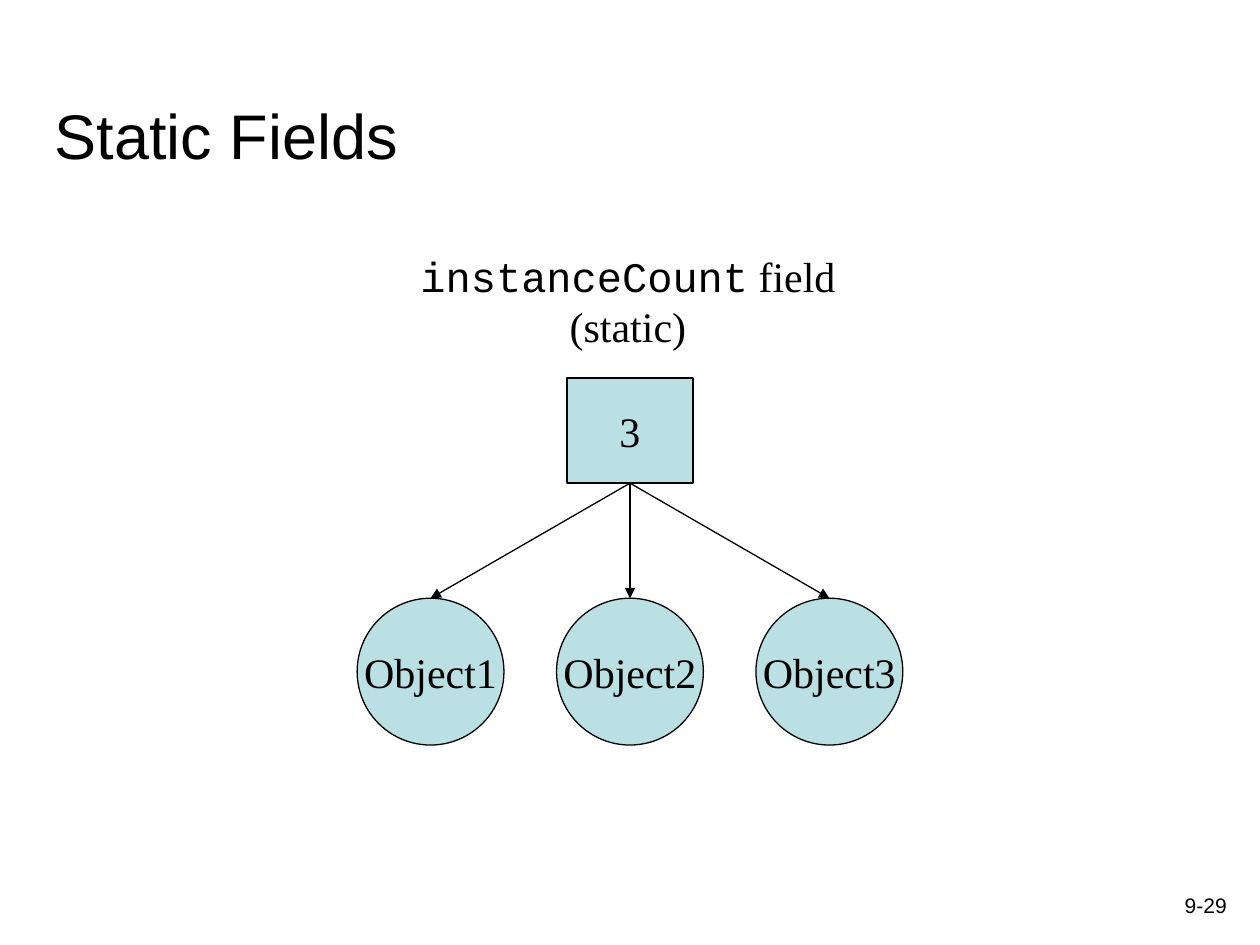
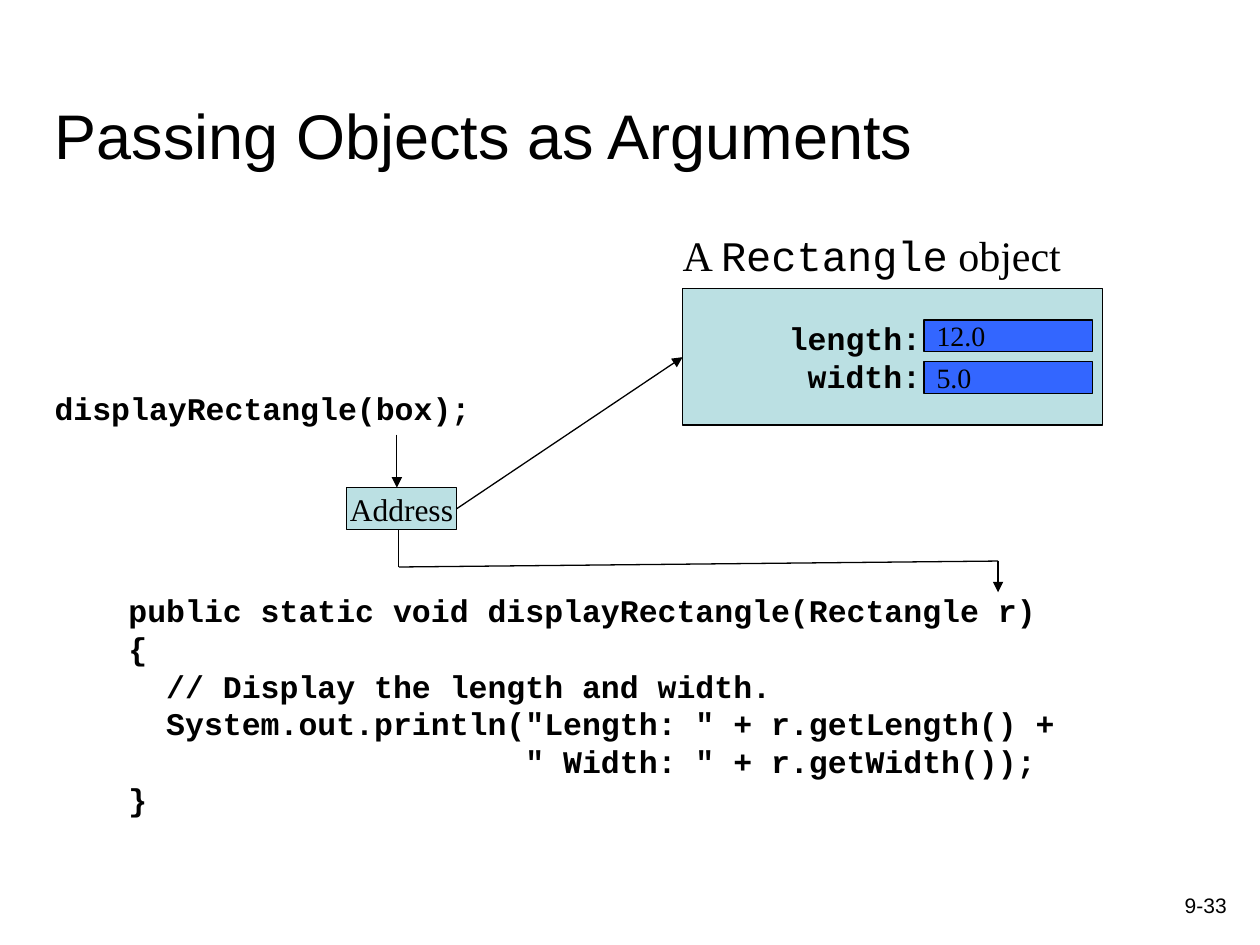
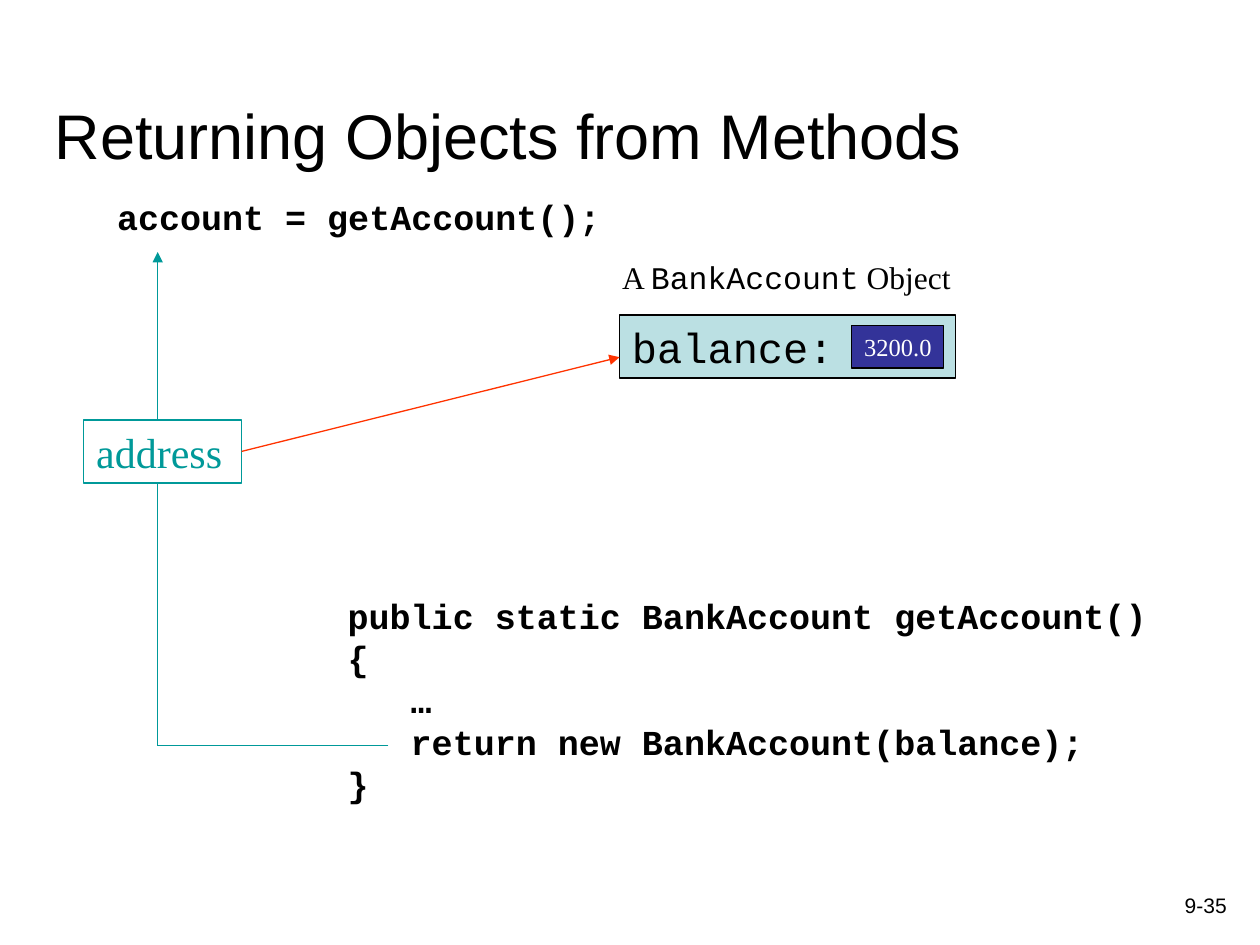
import dataclasses
import typing

import lxml.etree
import pptx
import pptx.dml.color
import pptx.enum.shapes
import pptx.enum.text
import pptx.oxml.ns
import pptx.slide
import pptx.text.text
import pptx.util

Align = pptx.enum.text.PP_ALIGN
Anchor = pptx.enum.text.MSO_ANCHOR
AutoSize = pptx.enum.text.MSO_AUTO_SIZE
Preset = pptx.enum.shapes.MSO_SHAPE

SANS = "Arial"
SERIF = "Times New Roman"
MONO = "Courier New"

BLACK = "000000"
WHITE = "FFFFFF"
PALE = "BBE0E3"
BLUE = "3366FF"
NAVY = "333399"
TEAL = "009999"
RED = "FF3300"

INSET = 0.25
LINE_WIDTH = 0.75

DISPLAY_CODE = """public static void displayRectangle(Rectangle r)
{
  // Display the length and width.
  System.out.println("Length: " + r.getLength() +
                     " Width: " + r.getWidth());
}"""

ACCOUNT_CODE = """public static BankAccount getAccount()
{
   …
   return new BankAccount(balance);
}"""


@dataclasses.dataclass(frozen=True)
class Box:
    text: str
    left: float
    top: float
    width: float
    height: float
    size: float = 24
    font: str = SERIF
    color: str = BLACK
    bold: bool = False
    align: Align = Align.LEFT
    anchor: Anchor = Anchor.TOP
    wrap: bool = False
    right_inset: float = INSET
    preset: typing.Optional[Preset] = None
    fill: typing.Optional[str] = None
    outline: str = BLACK


@dataclasses.dataclass(frozen=True)
class Line:
    start: tuple[float, float]
    end: tuple[float, float]
    color: str = BLACK
    arrow: bool = True


def rgb(color: str) -> pptx.dml.color.RGBColor:
    return pptx.dml.color.RGBColor.from_string(color)


def write_text(
    frame: pptx.text.text.TextFrame,
    text: str,
    *,
    font: str = SERIF,
    size: float = 24,
    color: str = BLACK,
    bold: bool = False,
    align: Align = Align.LEFT,
) -> None:
    for index, line in enumerate(text.split("\n")):
        para = frame.add_paragraph() if index else frame.paragraphs[0]
        para.alignment = align
        for position, part in enumerate(line.split("`")):
            if not part:
                continue
            span = para.add_run()
            span.text = part
            span.font.name = MONO if position % 2 else font
            span.font.size = pptx.util.Pt(size)
            span.font.bold = bold
            span.font.color.rgb = rgb(color)


def draw_box(page: pptx.slide.Slide, box: Box) -> None:
    place = [pptx.util.Cm(n) for n in (box.left, box.top, box.width, box.height)]
    if box.preset is None:
        shape = page.shapes.add_textbox(*place)
    else:
        shape = page.shapes.add_shape(box.preset, *place)
        shape.shadow.inherit = False
        shape.line.color.rgb = rgb(box.outline)
        shape.line.width = pptx.util.Pt(LINE_WIDTH)
        if box.fill is None:
            shape.fill.background()
        else:
            shape.fill.solid()
            shape.fill.fore_color.rgb = rgb(box.fill)
    frame = shape.text_frame
    frame.word_wrap = box.wrap
    if box.preset is None and not box.wrap:
        frame.auto_size = AutoSize.SHAPE_TO_FIT_TEXT
    frame.vertical_anchor = box.anchor
    frame.margin_left = pptx.util.Cm(INSET)
    frame.margin_right = pptx.util.Cm(box.right_inset)
    write_text(frame, box.text, font=box.font, size=box.size, color=box.color,
               bold=box.bold, align=box.align)


def draw_line(page: pptx.slide.Slide, line: Line) -> None:
    ends = [pptx.util.Cm(n) for n in (*line.start, *line.end)]
    connector = page.shapes.add_connector(
        pptx.enum.shapes.MSO_CONNECTOR.STRAIGHT, *ends)
    connector.line.color.rgb = rgb(line.color)
    connector.line.width = pptx.util.Pt(LINE_WIDTH)
    name = pptx.oxml.ns.qn
    properties = connector.element.spPr
    if line.arrow:
        outline = properties.find(name("a:ln"))
        lxml.etree.SubElement(outline, name("a:tailEnd"), type="triangle")
    lxml.etree.SubElement(properties, name("a:effectLst"))


def draw_all(
    page: pptx.slide.Slide, boxes: typing.Iterable[Box], lines: typing.Iterable[Line]
) -> None:
    for box in boxes:
        draw_box(page, box)
    for line in lines:
        draw_line(page, line)


def add_page(deck: typing.Any, title: str, number: str) -> pptx.slide.Slide:
    page = deck.slides.add_slide(deck.slide_layouts[5])
    heading = page.shapes.title
    heading.left = heading.top = pptx.util.Cm(0.85)
    heading.width = pptx.util.Cm(23.92)
    heading.height = pptx.util.Cm(2.75)
    frame = heading.text_frame
    frame.auto_size = AutoSize.NONE
    frame.vertical_anchor = Anchor.BOTTOM
    write_text(frame, title, font=SANS, size=36)
    draw_box(page, Box(number, 19.69, 17.36, 5.29, 1.27, size=12, font=SANS,
                       align=Align.RIGHT, anchor=Anchor.BOTTOM, wrap=True))
    return page


def add_static_fields(deck: typing.Any) -> None:
    page = add_page(deck, "Static Fields", "9-29")
    center, field_bottom = 12.7, 9.74
    circle_top, diameter, step = 12.06, 2.96, 4.02
    boxes = [
        Box("`instanceCount` field\n(static)", 8.18, 4.92, 8.96, 2.28,
            align=Align.CENTER),
        Box("3", 11.43, 7.62, 2.54, 2.12, align=Align.CENTER,
            anchor=Anchor.MIDDLE, preset=Preset.RECTANGLE, fill=PALE),
    ]
    lines = []
    for index in range(3):
        middle = center + (index - 1) * step
        boxes.append(Box(f"Object{index + 1}", middle - diameter / 2, circle_top,
                         diameter, diameter, align=Align.CENTER,
                         anchor=Anchor.MIDDLE, preset=Preset.OVAL, fill=PALE))
        lines.append(Line((center, field_bottom), (middle, circle_top)))
    draw_all(page, boxes, lines)


def add_passing_objects(deck: typing.Any) -> None:
    page = add_page(deck, "Passing Objects as Arguments", "9-33")
    boxes = [
        Box("displayRectangle(box);", 0.85, 7.71, 9.1, 1.02, size=18, font=MONO,
            bold=True, wrap=True),
        Box(DISPLAY_CODE, 2.34, 11.79, 19.18, 4.83, size=18, font=MONO, bold=True),
        Box("A `Rectangle` object", 13.51, 4.5, 8.18, 1.27),
        Box("length:\nwidth:", 13.76, 5.82, 8.46, 2.75, size=18, font=MONO,
            bold=True, align=Align.RIGHT, anchor=Anchor.MIDDLE, wrap=True,
            right_inset=3.65, preset=Preset.RECTANGLE, fill=PALE),
        Box("Address", 6.99, 9.83, 2.21, 0.84, size=18, align=Align.CENTER,
            anchor=Anchor.MIDDLE, preset=Preset.RECTANGLE, fill=PALE),
    ]
    for index, value in enumerate(("12.0", "5.0")):
        boxes.append(Box(value, 18.63, 6.45 + index * 0.84, 3.39, 0.64, size=16,
                         anchor=Anchor.MIDDLE, preset=Preset.RECTANGLE, fill=BLUE))
    lines = [
        Line((8, 8.76), (8, 9.83)),
        Line((8.04, 10.67), (8.04, 11.43), arrow=False),
        Line((8.04, 11.43), (20.12, 11.31), arrow=False),
        Line((20.12, 11.31), (20.12, 11.94)),
        Line((9.2, 10.26), (13.76, 7.2)),
    ]
    draw_all(page, boxes, lines)


def add_returning_objects(deck: typing.Any) -> None:
    page = add_page(deck, "Returning Objects from Methods", "9-35")
    boxes = [
        Box("account = getAccount();", 2.11, 3.81, 10.8, 1.12, size=20, font=MONO,
            bold=True, wrap=True),
        Box(ACCOUNT_CODE, 6.76, 11.86, 16.64, 4.5, size=20, font=MONO, bold=True),
        Box("balance:", 12.49, 6.35, 6.77, 1.27, font=MONO, wrap=True,
            preset=Preset.RECTANGLE, fill=PALE),
        Box("3200.0", 17.17, 6.56, 1.85, 0.86, size=14, color=WHITE,
            preset=Preset.RECTANGLE, fill=NAVY),
        Box("address", 1.69, 8.47, 3.18, 1.27, color=TEAL, wrap=True,
            preset=Preset.RECTANGLE, outline=TEAL),
        Box("A `BankAccount` Object", 12.29, 5.08, 7.16, 1.02, size=18),
    ]
    lines = [
        Line((3.18, 8.47), (3.18, 5.08), TEAL),
        Line((7.83, 15.03), (3.18, 15.03), TEAL, arrow=False),
        Line((3.18, 15.03), (3.18, 9.74), TEAL, arrow=False),
        Line((4.87, 9.1), (12.49, 7.2), RED),
    ]
    draw_all(page, boxes, lines)


def main() -> None:
    deck = pptx.Presentation()
    deck.slide_width = pptx.util.Cm(25.4)
    deck.slide_height = pptx.util.Cm(19.05)
    add_static_fields(deck)
    add_passing_objects(deck)
    add_returning_objects(deck)
    deck.save("out.pptx")


if __name__ == "__main__":
    main()
